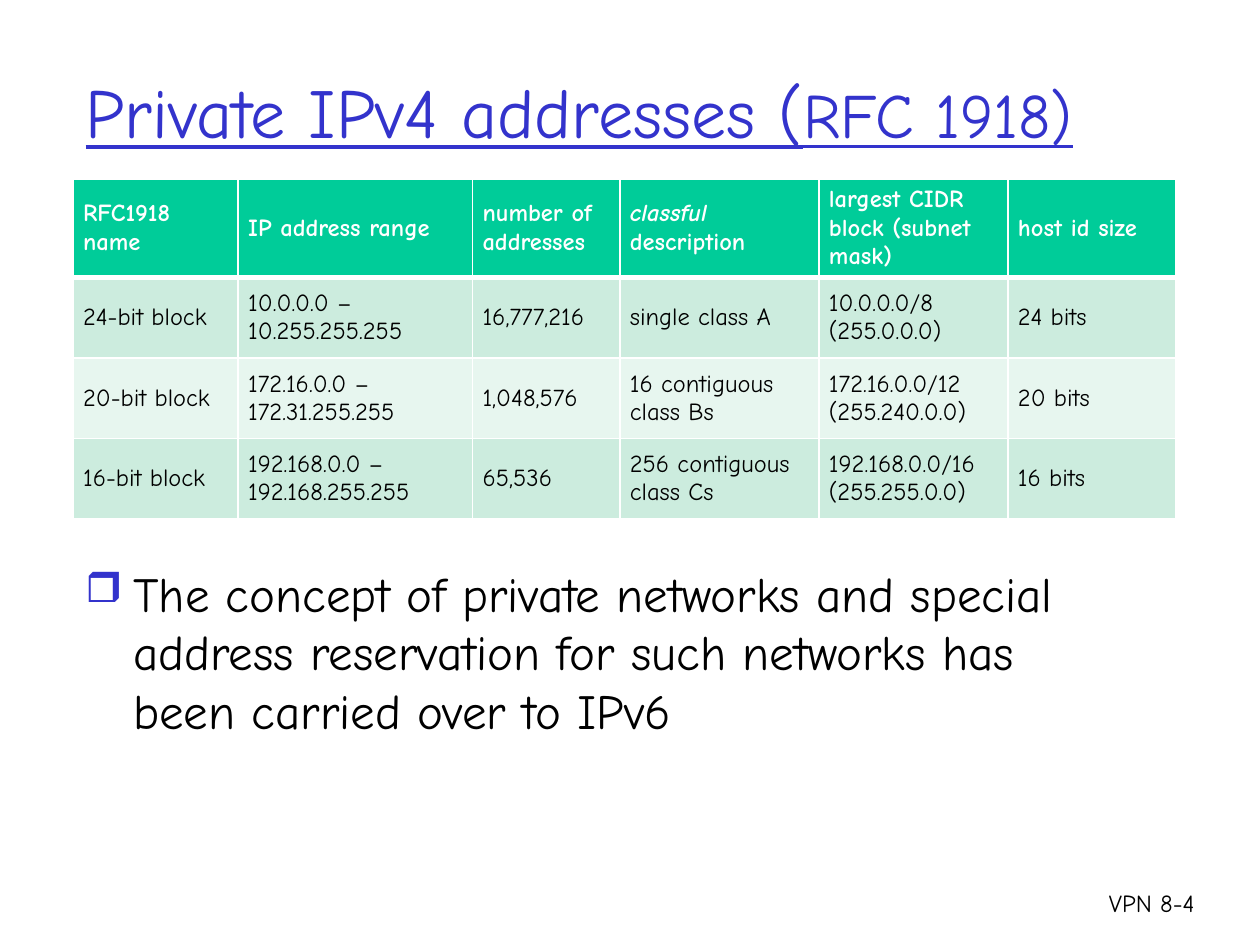
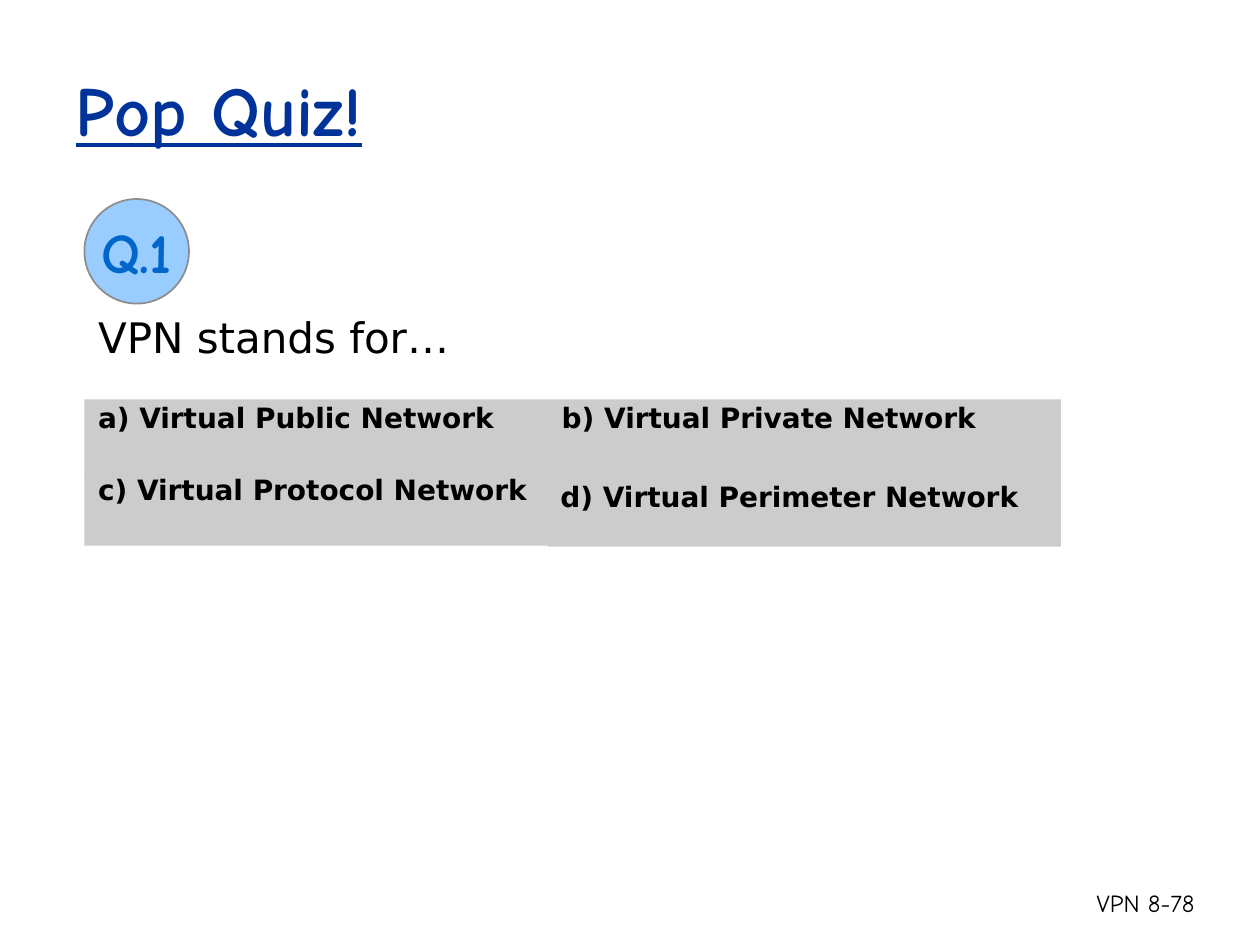
from lxml.etree import SubElement
from pptx import Presentation
from pptx.dml.color import RGBColor
from pptx.enum.shapes import MSO_SHAPE
from pptx.enum.text import MSO_ANCHOR, MSO_AUTO_SIZE, PP_ALIGN
from pptx.oxml.ns import qn
from pptx.util import Inches, Pt

# ---- Content ----
ADDRESS_TITLE = [("Private IPv4 addresses (", {"size": 40}), ("RFC 1918)", {"size": 36})]
ADDRESS_HEADER = [
    [("RFC1918 name", {})],
    [("IP address range", {})],
    [("number of addresses", {})],
    [("classful", {"italic": True}), (" description", {})],
    [("largest CIDR block (subnet mask)", {})],
    [("host id size", {})],
]
ADDRESS_BLOCKS = [
    ("24-bit block", "10.0.0.0 – 10.255.255.255", "16,777,216", "single class A",
     "10.0.0.0/8 (255.0.0.0)", "24 bits"),
    ("20-bit block", "172.16.0.0 – 172.31.255.255", "1,048,576", "16 contiguous class Bs",
     "172.16.0.0/12 (255.240.0.0)", "20 bits"),
    ("16-bit block", "192.168.0.0 – 192.168.255.255", "65,536", "256 contiguous class Cs",
     "192.168.0.0/16 (255.255.0.0)", "16 bits"),
]
IPV6_NOTE = ("The concept of private networks and special address reservation "
             "for such networks has been carried over to IPv6")
QUIZ_TITLE = [("Pop Quiz!", {"size": 40, "bold": True})]
QUESTION_NUMBER = "Q.1"
QUESTION = "VPN stands for…"
# Answer, column, row, whether it lies on a backing plate
ANSWERS = [
    ("a) Virtual Public Network", 0, 0, True),
    ("b) Virtual Private Network", 1, 0, True),
    ("c) Virtual Protocol Network", 0, 1, True),
    ("d) Virtual Perimeter Network", 1, 1, False),
]

# ---- Shared look ----
COLORS = {
    "black": "000000", "white": "FFFFFF", "title": "3333CC", "quiz_title": "003399",
    "header": "00CC99", "band_dark": "CCECDE", "band_light": "E7F6EF",
    "answer": "CCCCCC", "badge": "99CCFF", "badge_line": "8D8D8D", "badge_text": "0066CC",
}
HAND, SANS = "Comic Neue", "DejaVu Sans"
SLIDE_W, SLIDE_H = 10, 7.5

# ---- Grids ----
TABLE_LEFT, TABLE_TOP = 0.58, 1.42
TABLE_COLUMNS = [1.31, 1.86, 1.17, 1.58, 1.5, 1.33]
TABLE_ROWS = [0.75] + [0.64] * 3
ANSWER_COLUMNS = [(0.67, 3.68), (4.35, 4.07)]
ANSWER_TOP, ANSWER_PITCH, PLATE_H, ANSWER_H = 3.17, 0.57, 0.59, 0.53
BORDER = 0.01


def color(name):
    return RGBColor.from_string(COLORS[name])


def inches(*lengths):
    return [Inches(length) for length in lengths]


def write(frame, runs, size=14, font=HAND, ink="black", bold=False, underline=None,
          align=PP_ALIGN.LEFT):
    paragraph = frame.paragraphs[0]
    paragraph.alignment = align
    for text, style in runs:
        run = paragraph.add_run()
        run.text = text
        face = run.font
        face.name = font
        face.size = Pt(style.get("size", size))
        face.bold = style.get("bold", bold)
        face.italic = style.get("italic", False)
        face.underline = underline
        face.color.rgb = color(ink)
    return paragraph


def add_text(slide, box, text, **style):
    frame = slide.shapes.add_textbox(*inches(*box)).text_frame
    frame.word_wrap = True
    return write(frame, [(text, {})], **style)


def add_block(slide, preset, box, fill, line=None):
    block = slide.shapes.add_shape(preset, *inches(*box))
    block.shadow.inherit = False
    block.fill.solid()
    block.fill.fore_color.rgb = color(fill)
    if line:
        block.line.color.rgb = color(line)
        block.line.width = Pt(1)
    else:
        block.line.fill.background()
    return block


def add_slide(deck, title_runs, title_box, ink, page):
    slide = deck.slides.add_slide(deck.slide_layouts[5])
    title = slide.shapes.title
    title.left, title.top, title.width, title.height = inches(*title_box)
    frame = title.text_frame
    frame.word_wrap = True
    frame.auto_size = MSO_AUTO_SIZE.NONE
    frame.vertical_anchor = MSO_ANCHOR.MIDDLE
    write(frame, title_runs, ink=ink, underline=True)
    add_text(slide, (SLIDE_W - 1.67, SLIDE_H - 0.5, 1.25, 0.5), f"VPN 8-{page}",
             align=PP_ALIGN.RIGHT)
    return slide


def set_borders(cell, bottom):
    properties = cell._tc.get_or_add_tcPr()
    for side, width in (("L", 1), ("R", 1), ("T", 1), ("B", bottom)):
        line = SubElement(properties, qn(f"a:ln{side}"), w=str(Pt(width)))
        fill = SubElement(line, qn("a:solidFill"))
        SubElement(fill, qn("a:srgbClr"), val=COLORS["white"])


def add_address_table(slide):
    rows = [ADDRESS_HEADER] + [[[(text, {})] for text in block] for block in ADDRESS_BLOCKS]
    table = slide.shapes.add_table(
        len(rows), len(TABLE_COLUMNS),
        *inches(TABLE_LEFT, TABLE_TOP, sum(TABLE_COLUMNS), sum(TABLE_ROWS))).table
    for column, width in zip(table.columns, TABLE_COLUMNS):
        column.width = Inches(width)
    for r, (row, height) in enumerate(zip(rows, TABLE_ROWS)):
        table.rows[r].height = Inches(height)
        is_header = r == 0
        fill = "header" if is_header else ("band_light", "band_dark")[r % 2]
        for c, runs in enumerate(row):
            cell = table.cell(r, c)
            set_borders(cell, 3 if is_header else 1)
            cell.fill.solid()
            cell.fill.fore_color.rgb = color(fill)
            cell.vertical_anchor = MSO_ANCHOR.MIDDLE
            cell.margin_left = cell.margin_right = Inches(0.08)
            cell.margin_top = cell.margin_bottom = Inches(0.04)
            write(cell.text_frame, runs, ink="white" if is_header else "black", bold=is_header)


def add_bullet(paragraph, indent):
    paragraph.space_before = Pt(5.6)
    properties = paragraph._p.get_or_add_pPr()
    properties.set("marL", str(Inches(indent)))
    properties.set("indent", str(-Inches(indent)))
    tint = SubElement(properties, qn("a:buClr"))
    SubElement(tint, qn("a:srgbClr"), val=COLORS["title"])
    SubElement(properties, qn("a:buSzPct"), val="85000")
    SubElement(properties, qn("a:buChar"), char="❒")


def add_answers(slide):
    # Band that closes the gap between the right-hand answers
    add_block(slide, MSO_SHAPE.RECTANGLE, (4.25, 3.58, 4.17, 0.33), "answer")
    for text, column, row, has_plate in ANSWERS:
        left, width = ANSWER_COLUMNS[column]
        top = ANSWER_TOP + row * ANSWER_PITCH
        if has_plate:
            add_block(slide, MSO_SHAPE.RECTANGLE, (left, top, width, PLATE_H), "answer")
            box = (left + BORDER, top + BORDER, width - 2 * BORDER, ANSWER_H)
        else:
            box = (left, top + PLATE_H - ANSWER_H + BORDER, width, ANSWER_H)
        frame = add_block(slide, MSO_SHAPE.RECTANGLE, box, "answer").text_frame
        frame.word_wrap = True
        frame.vertical_anchor = MSO_ANCHOR.TOP
        frame.margin_top = 0
        write(frame, [(text, {})], size=16, font=SANS, bold=True)


def main():
    deck = Presentation()
    deck.slide_width, deck.slide_height = inches(SLIDE_W, SLIDE_H)

    # Private address slide
    addresses = add_slide(deck, ADDRESS_TITLE, (0.58, 0.25, 8.92, 1.25), "title", 4)
    add_address_table(addresses)
    add_bullet(add_text(addresses, (0.58, 4.42, 8.5, 2.42), IPV6_NOTE, size=28), 0.38)

    # Quiz slide
    quiz = add_slide(deck, QUIZ_TITLE, (0.5, 0.3, 9, 1.12), "quiz_title", 78)
    question = (0.68, 2.42, 7.48, 0.56)
    add_text(quiz, question, QUESTION, size=24, font=SANS)
    add_answers(quiz)
    badge = add_block(quiz, MSO_SHAPE.OVAL, (0.67, 1.58, 0.83, 0.83), "badge", "badge_line")
    badge.text_frame.word_wrap = False
    badge.text_frame.vertical_anchor = MSO_ANCHOR.MIDDLE
    write(badge.text_frame, [(QUESTION_NUMBER, {})], size=32, ink="badge_text", bold=True,
          align=PP_ALIGN.CENTER)

    deck.save("out.pptx")


if __name__ == "__main__":
    main()
